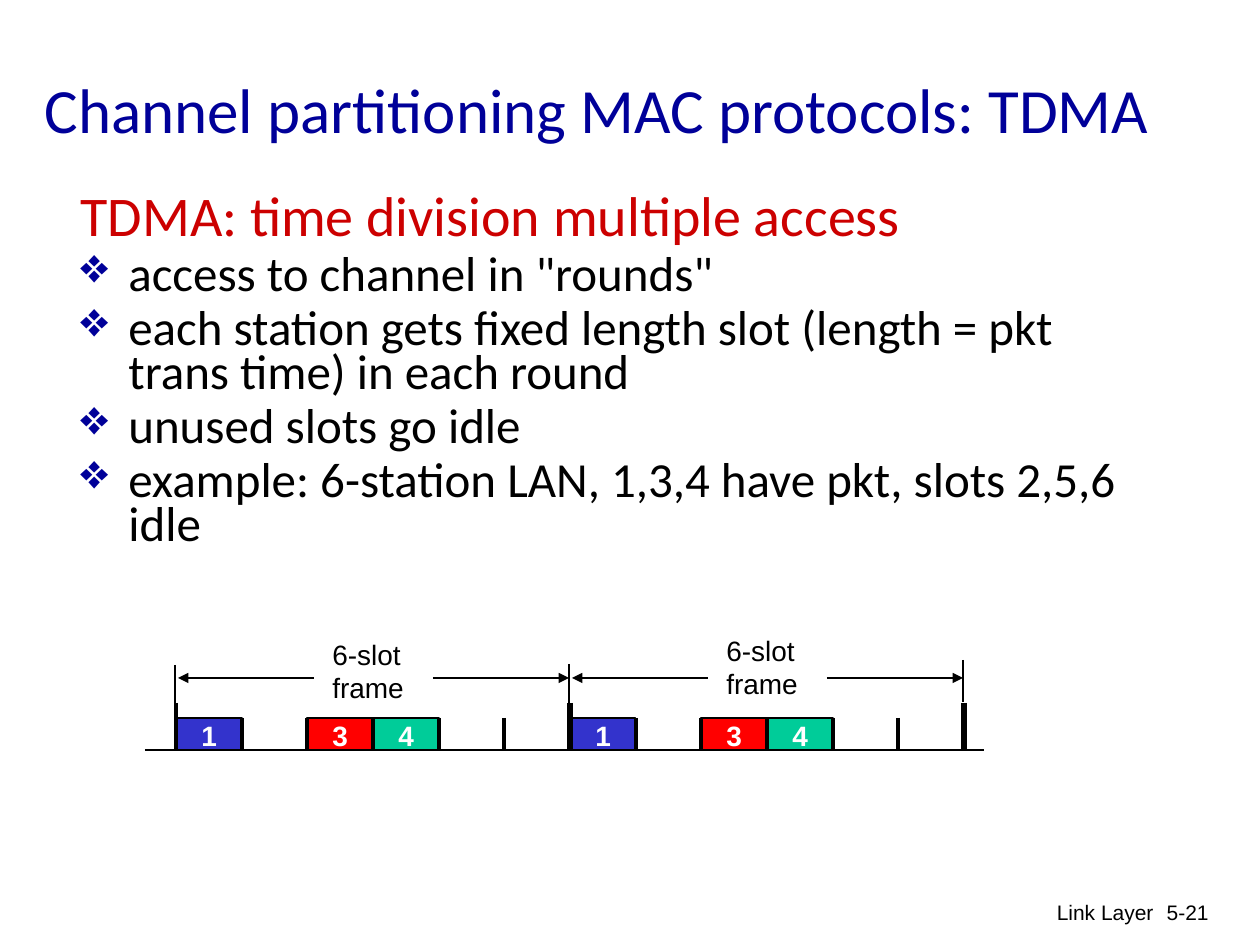
from dataclasses import dataclass
from lxml.etree import SubElement
from pptx import Presentation
from pptx.dml.color import RGBColor
from pptx.enum.shapes import MSO_CONNECTOR as Connector, MSO_SHAPE as Shape
from pptx.enum.text import MSO_ANCHOR as Anchor, MSO_AUTO_SIZE as AutoSize, PP_ALIGN as Align
from pptx.oxml.ns import qn
from pptx.util import Emu, Pt

SCALE = 914400 / 126


def px(length):
    """Turn pixels into EMU."""
    return Emu(round(length * SCALE))


@dataclass(frozen=True)
class Theme:
    """Colours, fonts and sizes of the slide."""
    navy: str = "000099"
    crimson: str = "CC0000"
    black: str = "000000"
    white: str = "FFFFFF"
    blue: str = "3333CC"
    red: str = "FF0000"
    green: str = "00CC99"
    heading_font: str = "Calibri"
    label_font: str = "Arial"
    title: int = 36
    lead: int = 32
    body: int = 28
    label: int = 16
    footer: int = 12
    thin: float = 0.75
    medium: float = 2.25
    thick: float = 3


class SlideBuilder:
    """Draws styled elements on the current slide."""

    def __init__(self, slide, theme):
        """Keep the slide and its theme."""
        self.slide = slide
        self.theme = theme

    def style(self, paragraph, font_name, size, color, bold=False):
        """Set the font of a paragraph."""
        font = paragraph.font
        font.name, font.size, font.bold = font_name, Pt(size), bold
        font.color.rgb = RGBColor.from_string(color)

    def title(self, text, left, top, width, height):
        """Place and format the title placeholder."""
        shape = self.slide.shapes.title
        shape.left, shape.top, shape.width, shape.height = map(px, (left, top, width, height))
        frame = shape.text_frame
        frame.text = text
        frame.auto_size = AutoSize.NONE
        frame.vertical_anchor = Anchor.MIDDLE
        frame.paragraphs[0].alignment = Align.LEFT
        self.style(frame.paragraphs[0], self.theme.heading_font, self.theme.title, self.theme.navy)

    def box(self, lines, left, top, width, height, wrap=False):
        """Add a text box and return its paragraphs."""
        frame = self.slide.shapes.add_textbox(*map(px, (left, top, width, height))).text_frame
        frame.word_wrap = wrap
        frame.text = "\n".join(lines)
        return frame.paragraphs

    def label(self, lines, left, top, width, height, color, bold=False):
        """Add a diagram label."""
        for paragraph in self.box(lines, left, top, width, height):
            self.style(paragraph, self.theme.label_font, self.theme.label, color, bold)

    def footer(self, text, left, top, width, height):
        """Add right-aligned footer text."""
        paragraph = self.box([text], left, top, width, height, wrap=True)[0]
        paragraph.alignment = Align.RIGHT
        self.style(paragraph, self.theme.label_font, self.theme.footer, self.theme.black)

    def bullets(self, lead, items, left, top, width, height):
        """Add a lead line followed by bulleted items."""
        theme = self.theme
        first, *rest = self.box([lead, *items], left, top, width, height, wrap=True)
        for paragraph in (first, *rest):
            properties = paragraph._p.get_or_add_pPr()
            properties.set("marL", str(px(48)))
            properties.set("indent", str(-px(48)))
            paragraph.line_spacing = 0.75
        for paragraph in rest:
            paragraph.space_before = Pt(5.6)
            properties = paragraph._p.pPr
            color = SubElement(properties, qn("a:buClr"))
            SubElement(color, qn("a:srgbClr"), val=theme.navy)
            SubElement(properties, qn("a:buChar"), char="❖")
            self.style(paragraph, theme.heading_font, theme.body, theme.black)
        self.style(first, theme.heading_font, theme.lead, theme.crimson)

    def line(self, x1, y1, x2, y2, weight, arrow=False):
        """Add a straight line, with an arrowhead at its end if asked."""
        connector = self.slide.shapes.add_connector(Connector.STRAIGHT, *map(px, (x1, y1, x2, y2)))
        connector.line.color.rgb = RGBColor.from_string(self.theme.black)
        connector.line.width = Pt(weight)
        if arrow:
            SubElement(connector.line._get_or_add_ln(), qn("a:tailEnd"), type="triangle")
        SubElement(connector._element.spPr, qn("a:effectLst"))

    def packet(self, left, top, width, height, color):
        """Add the filled block of a used slot."""
        shape = self.slide.shapes.add_shape(Shape.RECTANGLE, *map(px, (left, top, width, height)))
        shape.shadow.inherit = False
        shape.fill.solid()
        shape.fill.fore_color.rgb = RGBColor.from_string(color)
        shape.line.color.rgb = RGBColor.from_string(self.theme.black)
        shape.line.width = Pt(self.theme.thin)

    def tdma_frame(self, left, width, label_top, slots=6):
        """Draw one frame with its used slots, ticks and span arrows."""
        theme = self.theme
        edges = [left + round(slot * width / slots) for slot in range(slots + 1)]
        packets = {1: theme.blue, 3: theme.red, 4: theme.green}
        for number, color in packets.items():
            self.packet(edges[number - 1], 718, 66, 32, color)
        for x in edges[1:-1]:
            self.line(x, 718, x, 750, theme.medium)
        for number in packets:
            self.label([str(number)], edges[number - 1] + 13, 712, 40, 47, theme.white, bold=True)
        self.label(["6-slot", "frame"], left + 144, label_top, 97, 81, theme.black)
        self.line(left + 257, 678, left + width - 1, 678, theme.thin, arrow=True)
        self.line(left + 138, 678, left + 2, 678, theme.thin, arrow=True)


def main():
    """Build and save the slide."""
    presentation = Presentation()
    presentation.slide_width, presentation.slide_height = px(1260), px(945)
    theme = Theme()
    builder = SlideBuilder(presentation.slides.add_slide(presentation.slide_layouts[5]), theme)

    builder.footer("Link Layer", 767, 893, 399, 63)
    builder.footer("5-21", 1128, 893, 93, 63)
    builder.title("Channel partitioning MAC protocols: TDMA", 32, 29, 1189, 158)
    builder.bullets(
        "TDMA: time division multiple access",
        [
            'access to channel in "rounds"',
            "each station gets fixed length slot (length = pkt trans time) in each round",
            "unused slots go idle",
            "example: 6-station LAN, 1,3,4 have pkt, slots 2,5,6 idle",
        ],
        68, 190, 1071, 403,
    )

    start, width = 176, 394
    builder.line(145, 750, 984, 750, theme.thin)
    for index, label_top in enumerate((631, 627)):
        builder.tdma_frame(start + index * width, width, label_top)
    for index, (guide_top, weight) in enumerate(
        ((665, theme.medium), (664, theme.thick), (660, theme.thick))
    ):
        x = start + index * width
        builder.line(x - 1, guide_top, x - 1, guide_top + 42, theme.thin)
        builder.line(x, 703, x, 750, weight)

    presentation.save("out.pptx")


if __name__ == "__main__":
    main()
